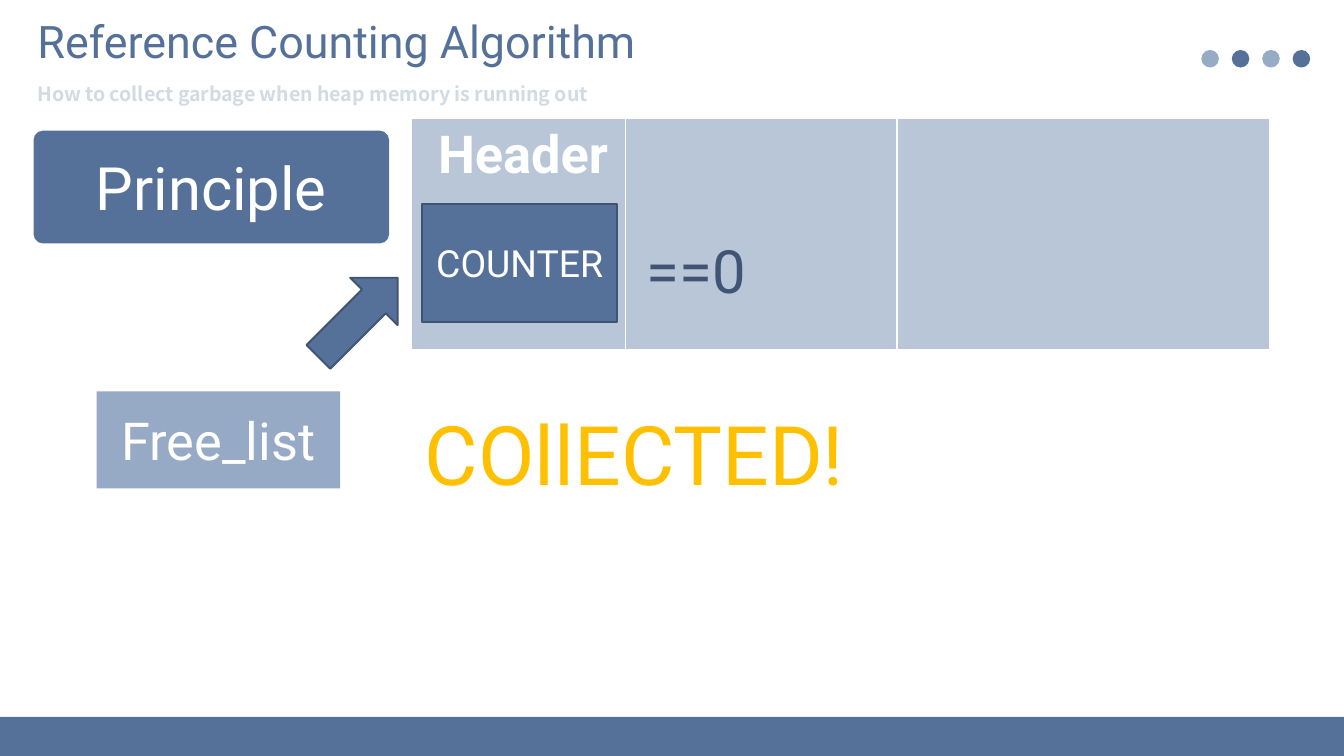
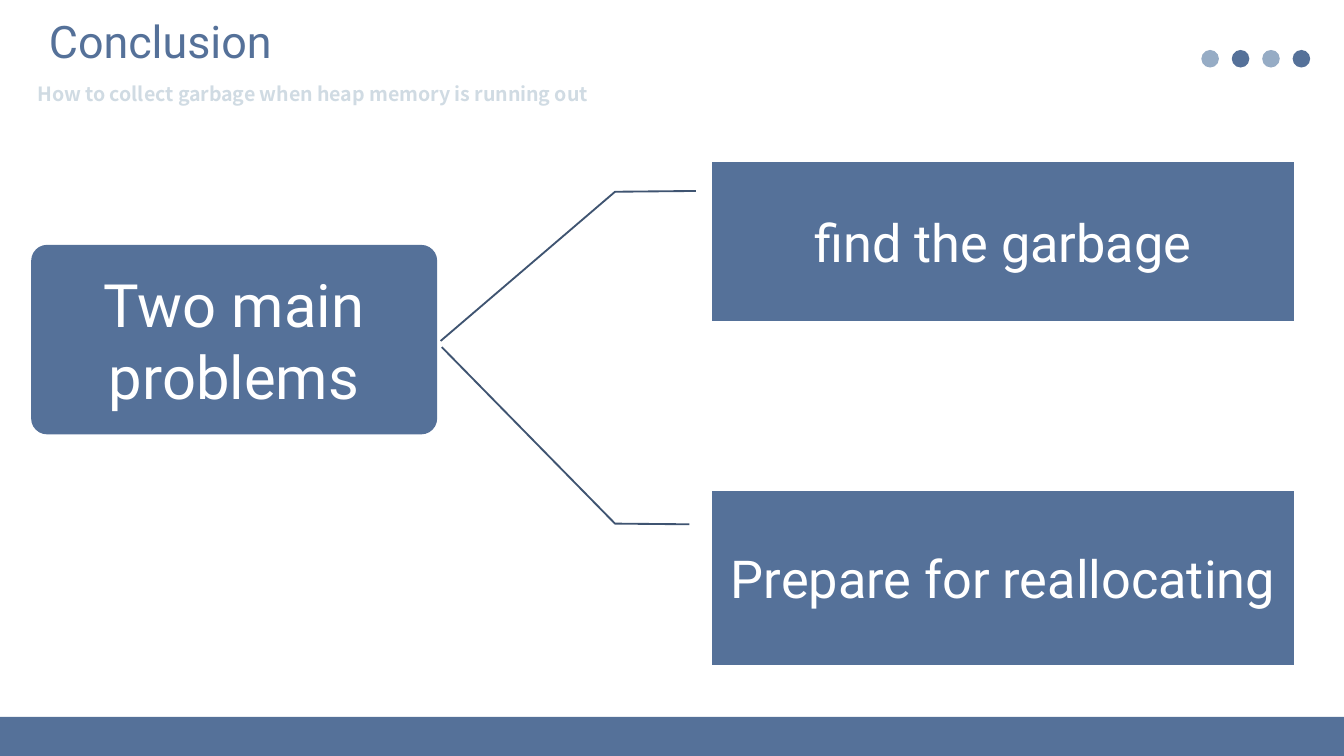
import dataclasses

import lxml.etree
import pptx
import pptx.dml.color
import pptx.enum.shapes
import pptx.enum.text
import pptx.oxml.ns
import pptx.util

Pt = pptx.util.Pt
SHAPE = pptx.enum.shapes.MSO_SHAPE
ALIGN = pptx.enum.text.PP_ALIGN
ANCHOR = pptx.enum.text.MSO_ANCHOR


@dataclasses.dataclass(frozen=True)
class Theme:
    font: str = "Roboto"
    subtitle_font: str = "Noto Sans CJK TC"
    blue: str = "557199"
    outline: str = "3F5471"
    dark_text: str = "405573"
    pale_dot: str = "96ACC5"
    pale_box: str = "96A9C5"
    cell: str = "B9C6D8"
    subtitle: str = "D0DBE3"
    accent: str = "FFC000"
    white: str = "FFFFFF"
    subtitle_size: float = 10.5
    small_size: float = 20
    title_size: float = 24
    label_size: float = 28
    heading_size: float = 32
    shout_size: float = 44


THEME = Theme()


@dataclasses.dataclass(frozen=True)
class Box:
    left: float
    top: float
    width: float
    height: float

    def inner(self, left, top, width, height):
        """Return a box measured from this box's top left corner."""
        return Box(self.left + left, self.top + top, width, height)

    def lengths(self):
        return [Pt(value) for value in dataclasses.astuple(self)]


PAGE = Box(0, 0, 720, 405)


def color(value):
    return pptx.dml.color.RGBColor.from_string(value)


def write(paragraph, text, size, text_color, name=THEME.font, bold=False):
    paragraph.text = text
    font = paragraph.font
    font.size, font.name, font.bold = Pt(size), name, bold
    font.color.rgb = color(text_color)


def add_text(slide, box, text, size, text_color, indent=0, **style):
    text_box = slide.shapes.add_textbox(*box.lengths())
    frame = text_box.text_frame
    frame.word_wrap = True
    frame.auto_size = pptx.enum.text.MSO_AUTO_SIZE.SHAPE_TO_FIT_TEXT
    frame.margin_left = Pt(7.2 + indent)
    write(frame.paragraphs[0], text, size, text_color, **style)


def add_block(shapes, kind, box, fill, line=None, text="", size=THEME.label_size,
              adjustments=()):
    """Add a filled preset shape with centred white text."""
    shape = shapes.add_shape(kind, *box.lengths())
    shape.shadow.inherit = False
    shape.fill.solid()
    shape.fill.fore_color.rgb = color(fill)
    if line:
        shape.line.color.rgb = color(line)
        shape.line.width = Pt(1)
    else:
        shape.line.fill.background()
    for index, value in enumerate(adjustments):
        shape.adjustments[index] = value
    if text:
        frame = shape.text_frame
        frame.word_wrap = True
        frame.vertical_anchor = ANCHOR.MIDDLE
        paragraph = frame.paragraphs[0]
        write(paragraph, text, size, THEME.white)
        paragraph.alignment = ALIGN.CENTER
    return shape


def add_slide(presentation, title, title_indent=0):
    """Add a slide with the shared dots, footer band, title and subtitle."""
    slide = presentation.slides.add_slide(presentation.slide_layouts[6])
    for index in range(4):
        fill = THEME.blue if index % 2 else THEME.pale_dot
        dot = PAGE.inner(643.6 + 16.3 * index, 26.8, 9.4, 9.4)
        add_block(slide.shapes, SHAPE.OVAL, dot, fill)
    add_block(slide.shapes, SHAPE.RECTANGLE, PAGE.inner(0, 384, 720, 21), THEME.blue)
    add_text(slide, PAGE.inner(13, 4, 377, 36), title, THEME.title_size, THEME.blue,
             indent=title_indent)
    add_text(slide, PAGE.inner(13, 40.3, 511, 20),
             "How to collect garbage when heap memory is running out",
             THEME.subtitle_size, THEME.subtitle, name=THEME.subtitle_font, bold=True)
    return slide


def add_heading(slide, box, text):
    add_block(slide.shapes, SHAPE.ROUNDED_RECTANGLE, box, THEME.blue, text=text,
              size=THEME.heading_size, adjustments=[0.084])


def set_borders(cell):
    properties = cell._tc.get_or_add_tcPr()
    widths = {"lnL": 1, "lnR": 1, "lnT": 1, "lnB": 3}
    for index, (side, width) in enumerate(widths.items()):
        line = lxml.etree.Element(pptx.oxml.ns.qn("a:" + side), w=str(Pt(width)))
        fill = lxml.etree.SubElement(line, pptx.oxml.ns.qn("a:solidFill"))
        lxml.etree.SubElement(fill, pptx.oxml.ns.qn("a:srgbClr"), val=THEME.white)
        properties.insert(index, line)


def add_heap_object(slide, box):
    """Add the three-field heap object with its counter and the zero test."""
    column_widths = [114.5, 145.5, 200]
    table = slide.shapes.add_table(1, len(column_widths), *box.lengths()).table
    table.first_row = table.horz_banding = False
    table.rows[0].height = Pt(box.height)
    for column, width in zip(table.columns, column_widths):
        column.width = Pt(width)
    for cell in table.iter_cells():
        cell.fill.solid()
        cell.fill.fore_color.rgb = color(THEME.cell)
        set_borders(cell)
    header = table.cell(0, 0)
    header.margin_left = Pt(14.2)
    write(header.text_frame.paragraphs[0], "Header", THEME.label_size, THEME.white,
          bold=True)
    add_block(slide.shapes, SHAPE.RECTANGLE, box.inner(5.7, 45.6, 104.5, 63.3),
              THEME.blue, THEME.outline, "COUNTER", THEME.small_size)
    add_text(slide, box.inner(118.8, 58, 140, 46), "==0", THEME.heading_size,
             THEME.dark_text)


def add_free_list(slide, box):
    """Add the free list box and the arrow rising from it."""
    group = slide.shapes.add_group_shape()
    add_block(group.shapes, SHAPE.RECTANGLE, box.inner(0, 57.7, 130.5, 52),
              THEME.pale_box, text="Free_list")
    arrow = add_block(group.shapes, SHAPE.RIGHT_ARROW, box.inner(110, 0, 60, 36),
                      THEME.blue, THEME.outline)
    arrow.rotation = 315


def add_problem(slide, box, text, leader):
    """Add a callout; leader holds (y, x) fractions of the box for each point."""
    add_block(slide.shapes, SHAPE.LINE_CALLOUT_2_NO_BORDER, box, THEME.blue,
              THEME.outline, text,
              adjustments=[value for point in leader for value in point])


def add_principle_slide(presentation):
    slide = add_slide(presentation, "Reference Counting Algorithm")
    add_heading(slide, PAGE.inner(18, 70, 190.5, 60.5), "Principle")
    add_free_list(slide, PAGE.inner(51.8, 152, 170, 110))
    add_text(slide, PAGE.inner(220.5, 212.5, 346, 60.5), "COllECTED!",
             THEME.shout_size, THEME.accent)
    add_heap_object(slide, PAGE.inner(220.5, 63.5, 460, 125))


def add_conclusion_slide(presentation):
    slide = add_slide(presentation, "Conclusion", title_indent=6)
    add_heading(slide, PAGE.inner(16.7, 131.2, 217.5, 101.5), "Two main problems")
    add_problem(slide, PAGE.inner(381.5, 86.7, 311.5, 85.3), "find the garbage",
                [(0.183, -0.028), (0.188, -0.167), (1.125, -0.467)])
    add_problem(slide, PAGE.inner(381.5, 263, 311.5, 93.3), "Prepare for reallocating",
                [(0.192, -0.039), (0.188, -0.167), (-0.826, -0.465)])


def main():
    presentation = pptx.Presentation()
    presentation.slide_width = Pt(PAGE.width)
    presentation.slide_height = Pt(PAGE.height)
    add_principle_slide(presentation)
    add_conclusion_slide(presentation)
    presentation.save("out.pptx")


if __name__ == "__main__":
    main()
